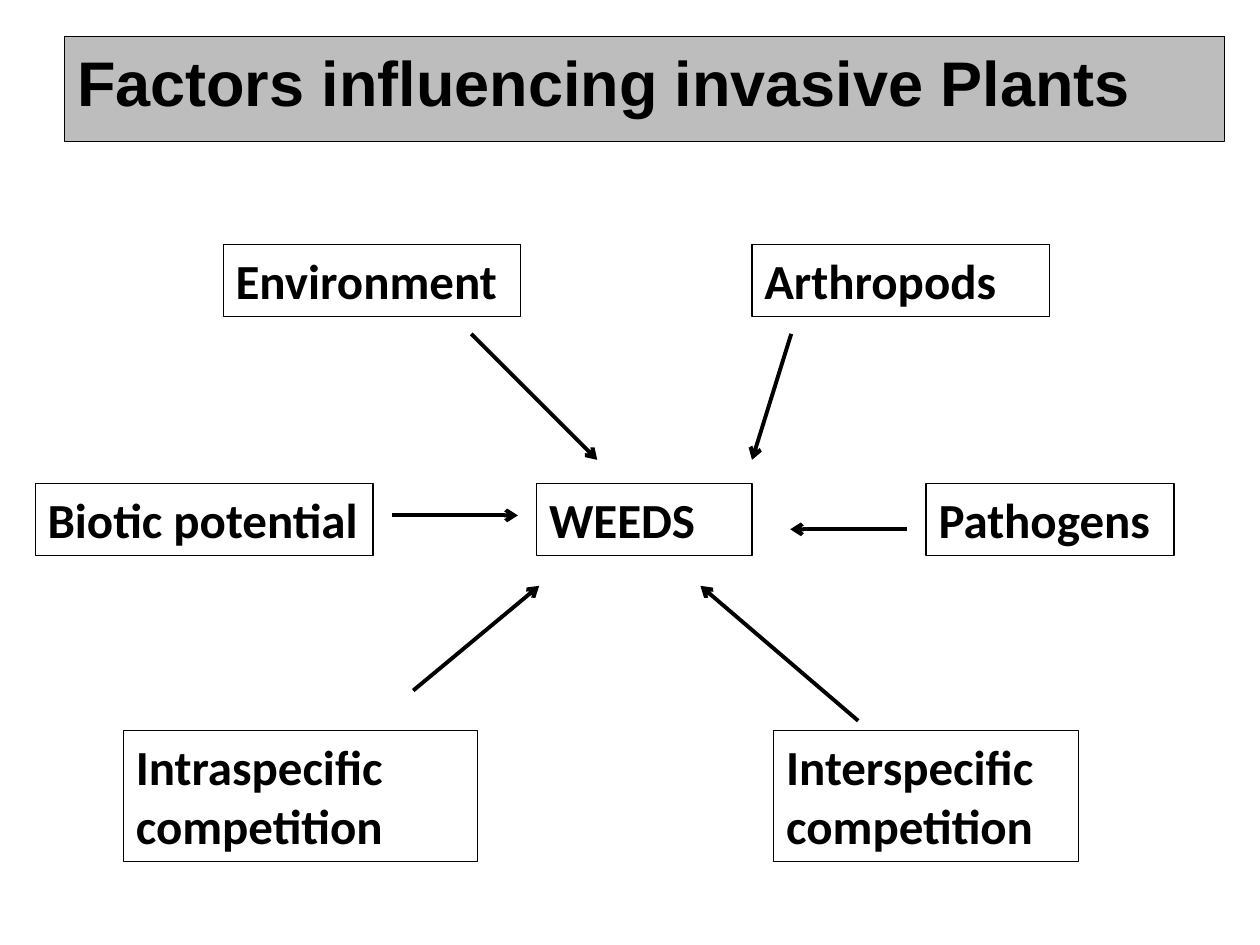
from lxml.etree import SubElement
from pptx import Presentation
from pptx.dml.color import RGBColor
from pptx.enum.shapes import MSO_CONNECTOR
from pptx.enum.text import MSO_ANCHOR, MSO_AUTO_SIZE, PP_ALIGN
from pptx.oxml.ns import qn
from pptx.util import Cm, Pt

BLACK = "000000"
GREY = "BDBDBD"
UPPER_ROW, MIDDLE_ROW, LOWER_ROW = 4.93, 9.75, 14.73
ONE_LINE, TWO_LINES = 1.45, 2.64

FACTORS = [
    ("WEEDS", 10.82, MIDDLE_ROW, 4.34, ONE_LINE),
    ("Biotic potential", 0.71, MIDDLE_ROW, 6.81, ONE_LINE),
    ("Interspecific competition", 15.6, LOWER_ROW, 6.15, TWO_LINES),
    ("Intraspecific competition", 2.49, LOWER_ROW, 7.14, TWO_LINES),
    ("Pathogens", 18.67, MIDDLE_ROW, 5, ONE_LINE),
    ("Arthropods", 15.16, UPPER_ROW, 6, ONE_LINE),
    ("Environment", 4.5, UPPER_ROW, 6, ONE_LINE),
]

INFLUENCES = [
    ((9.5, 6.73), (12.04, 9.27)),
    ((7.9, 10.39), (10.44, 10.39)),
    ((18.29, 10.67), (15.93, 10.67)),
    ((15.95, 6.73), (15.16, 9.27)),
    ((17.3, 14.53), (14.12, 11.81)),
    ((8.33, 13.92), (10.87, 11.81)),
]


def color(hex_value):
    return RGBColor.from_string(hex_value)


def write(shape, text, size=28, font="Calibri", bold=True, ink=BLACK):
    frame = shape.text_frame
    frame.word_wrap = True
    frame.auto_size = MSO_AUTO_SIZE.SHAPE_TO_FIT_TEXT
    frame.vertical_anchor = MSO_ANCHOR.TOP
    paragraph = frame.paragraphs[0]
    paragraph.alignment = PP_ALIGN.LEFT
    run = paragraph.add_run()
    run.text = text
    run.font.size = Pt(size)
    run.font.name = font
    run.font.bold = bold
    run.font.color.rgb = color(ink)


def outline(shape, width):
    shape.line.color.rgb = color(BLACK)
    shape.line.width = Pt(width)


def add_title(slide, text):
    title = slide.shapes.title
    title.left, title.top, title.width, title.height = Cm(1.3), Cm(0.74), Cm(23.39), Cm(1.8)
    title.fill.solid()
    title.fill.fore_color.rgb = color(GREY)
    outline(title, 0.79)
    write(title, text, size=36, font="Arial")


def add_factor(slide, text, left, top, width, height):
    factor = slide.shapes.add_textbox(Cm(left), Cm(top), Cm(width), Cm(height))
    outline(factor, 0.75)
    write(factor, text)


def add_influence(slide, start, end):
    influence = slide.shapes.add_connector(
        MSO_CONNECTOR.STRAIGHT, *(Cm(length) for length in start + end)
    )
    outline(influence, 2.25)
    SubElement(influence.line._get_or_add_ln(), qn("a:tailEnd"), type="arrow")
    SubElement(influence._element.spPr, qn("a:effectLst"))


def main():
    presentation = Presentation()
    presentation.slide_width = Cm(25.4)
    presentation.slide_height = Cm(19.05)
    slide = presentation.slides.add_slide(presentation.slide_layouts.get_by_name("Title Only"))
    add_title(slide, "Factors influencing invasive Plants")
    for factor in FACTORS:
        add_factor(slide, *factor)
    for start, end in INFLUENCES:
        add_influence(slide, start, end)
    presentation.save("out.pptx")


if __name__ == "__main__":
    main()
